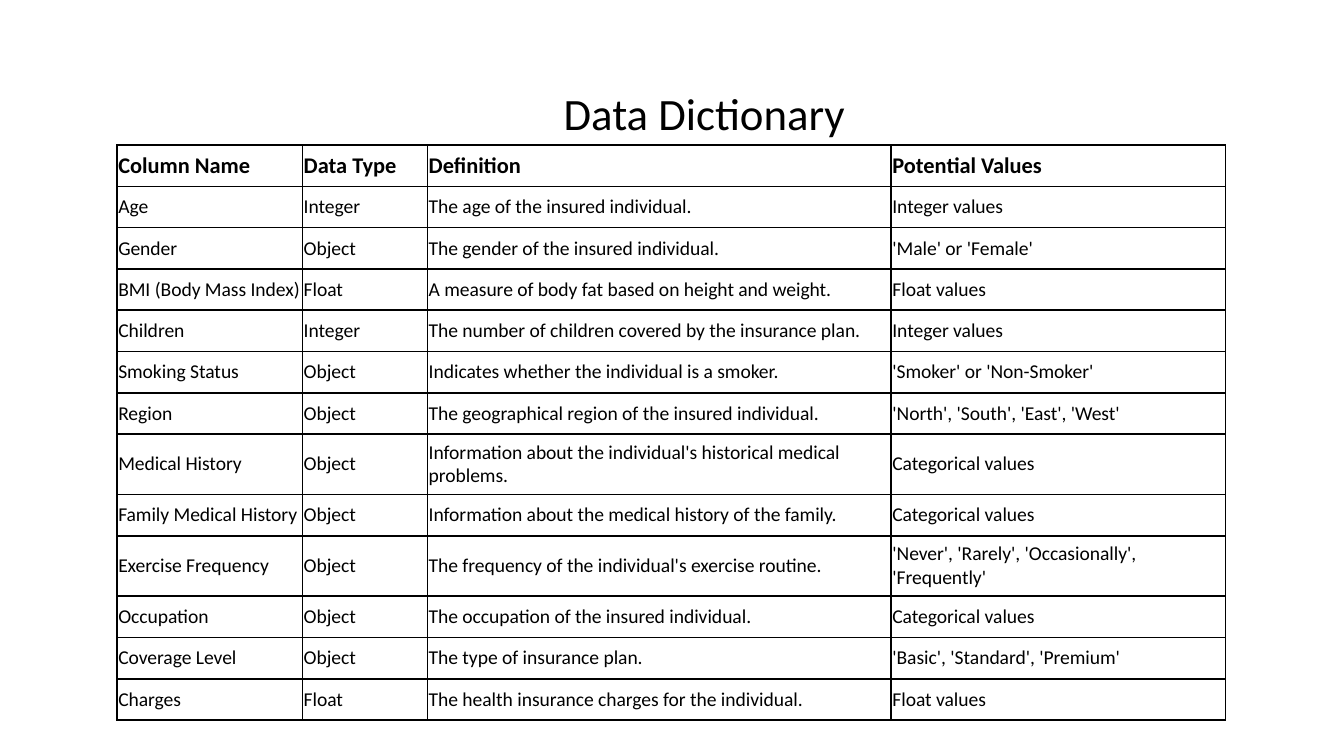
import lxml.etree
import pptx
import pptx.dml.color
import pptx.enum.text
import pptx.oxml.ns
import pptx.util

Inches = pptx.util.Inches
Pt = pptx.util.Pt
BLACK = pptx.dml.color.RGBColor(0x00, 0x00, 0x00)
WHITE = pptx.dml.color.RGBColor(0xFF, 0xFF, 0xFF)
FONT = "Calibri"
MIDDLE = pptx.enum.text.MSO_ANCHOR.MIDDLE

COLUMN_WIDTHS = [1.38, 0.93, 3.45, 2.49]
TALL_ROW_HEIGHT = 0.45
TALL_ROWS = {"Medical History", "Exercise Frequency"}

ROWS = [
    ("Column Name", "Data Type", "Definition", "Potential Values"),
    ("Age", "Integer", "The age of the insured individual.", "Integer values"),
    ("Gender", "Object", "The gender of the insured individual.", "'Male' or 'Female'"),
    ("BMI (Body Mass Index)", "Float",
     "A measure of body fat based on height and weight.", "Float values"),
    ("Children", "Integer",
     "The number of children covered by the insurance plan.", "Integer values"),
    ("Smoking Status", "Object",
     "Indicates whether the individual is a smoker.", "'Smoker' or 'Non-Smoker'"),
    ("Region", "Object",
     "The geographical region of the insured individual.",
     "'North', 'South', 'East', 'West'"),
    ("Medical History", "Object",
     "Information about the individual's historical medical problems.",
     "Categorical values"),
    ("Family Medical History", "Object",
     "Information about the medical history of the family.", "Categorical values"),
    ("Exercise Frequency", "Object",
     "The frequency of the individual's exercise routine.",
     "'Never', 'Rarely', 'Occasionally', 'Frequently'"),
    ("Occupation", "Object",
     "The occupation of the insured individual.", "Categorical values"),
    ("Coverage Level", "Object",
     "The type of insurance plan.", "'Basic', 'Standard', 'Premium'"),
    ("Charges", "Float",
     "The health insurance charges for the individual.", "Float values"),
]


def format_runs(p, size, bold=False):
    for r in p.runs:
        r.font.name = FONT
        r.font.size = Pt(size)
        r.font.bold = bold
        r.font.color.rgb = BLACK


def add_borders(cell):
    qn = pptx.oxml.ns.qn
    tcPr = cell._tc.get_or_add_tcPr()
    for side in ("a:lnL", "a:lnR", "a:lnT", "a:lnB"):
        ln = lxml.etree.SubElement(tcPr, qn(side), w=str(Pt(1)))
        fill = lxml.etree.SubElement(ln, qn("a:solidFill"))
        lxml.etree.SubElement(fill, qn("a:srgbClr"), val=str(BLACK))


def add_title(slide, left, top, width, height):
    sp = slide.shapes.add_textbox(Inches(left), Inches(top), Inches(width), Inches(height))
    tf = sp.text_frame
    tf.word_wrap = True
    tf.vertical_anchor = MIDDLE
    p = tf.paragraphs[0]
    p.text = "Data Dictionary"
    p.alignment = pptx.enum.text.PP_ALIGN.CENTER
    p.line_spacing = 0.9
    format_runs(p, 24)


def fill_cell(cell, text, header):
    cell.text = text
    cell.vertical_anchor = MIDDLE
    cell.margin_left = cell.margin_right = Inches(0.01)
    cell.margin_top = cell.margin_bottom = Inches(0.04)
    format_runs(cell.text_frame.paragraphs[0], 12 if header else 10.5, header)
    add_borders(cell)
    cell.fill.solid()
    cell.fill.fore_color.rgb = WHITE


def add_dictionary_table(slide, left, top, width, height):
    table = slide.shapes.add_table(
        len(ROWS), len(COLUMN_WIDTHS),
        Inches(left), Inches(top), Inches(width), Inches(height)).table
    table.first_row = False
    table.horz_banding = False
    for column, column_width in zip(table.columns, COLUMN_WIDTHS):
        column.width = Inches(column_width)

    # Single-line rows share the height left by the two-line rows
    tall_total = TALL_ROW_HEIGHT * len(TALL_ROWS)
    row_height = (height - tall_total) / (len(ROWS) - len(TALL_ROWS))
    for i, row in enumerate(ROWS):
        tall = row[0] in TALL_ROWS
        table.rows[i].height = Inches(TALL_ROW_HEIGHT if tall else row_height)
        for j, text in enumerate(row):
            fill_cell(table.cell(i, j), text, header=i == 0)


def main():
    prs = pptx.Presentation()
    prs.slide_width = Inches(10)
    prs.slide_height = prs.slide_width * 9 // 16
    slide = prs.slides.add_slide(prs.slide_layouts[6])

    # Heading
    add_title(slide, 0.74, 0.51, 9, 0.7)
    # Column descriptions
    add_dictionary_table(slide, 0.87, 1.08, sum(COLUMN_WIDTHS), 4.28)

    prs.save("out.pptx")


if __name__ == "__main__":
    main()
